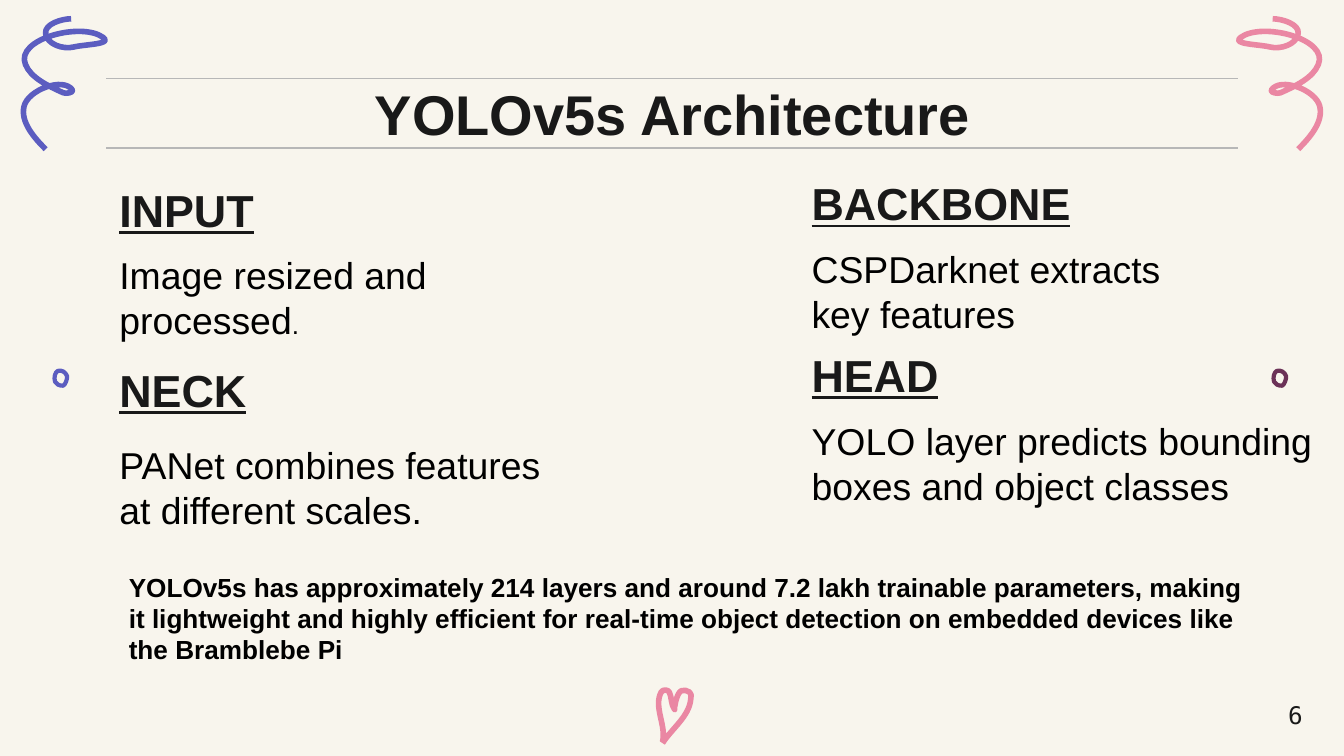
from lxml.etree import SubElement
from pptx import Presentation
from pptx.dml.color import RGBColor
from pptx.enum.shapes import MSO_CONNECTOR
from pptx.enum.text import MSO_ANCHOR, MSO_AUTO_SIZE, PP_ALIGN
from pptx.oxml.ns import qn
from pptx.util import Inches, Pt

THEME = {
    "paper": RGBColor.from_string("F8F5ED"),
    "ink": RGBColor.from_string("191919"),
    "black": RGBColor.from_string("000000"),
    "rule": RGBColor.from_string("B7B7B7"),
    "blue": RGBColor.from_string("5C5DC0"),
    "pink": RGBColor.from_string("EA87A3"),
    "plum": RGBColor.from_string("6C3258"),
    "font": "Arial",
    "number_font": "DejaVu Sans Mono",
    "title": 30, "heading": 24, "body": 20, "note": 14, "number": 13,
}

presentation = Presentation()
presentation.slide_width = Inches(10)
presentation.slide_height = presentation.slide_width * 9 // 16
slide = presentation.slides.add_slide(presentation.slide_layouts[6])
slide.background.fill.solid()
slide.background.fill.fore_color.rgb = THEME["paper"]

# The slide is a grid 1000 units wide; every length below counts these units.
UNIT = presentation.slide_width / 1000


def add_curve(points, color, weight):
    """Draw a start point followed by triples of cubic Bezier points."""
    builder = slide.shapes.build_freeform(*points[0], scale=UNIT)
    builder.add_line_segments(points[1:], close=False)
    shape = builder.convert_to_shape()
    shape.shadow.inherit = False
    shape.fill.background()
    shape.line.color.rgb = color
    shape.line.width = Pt(weight)
    segments = list(shape.element.iter(qn("a:lnTo")))
    outline = segments[0].getparent()
    for first in range(0, len(segments), 3):
        curve = SubElement(outline, qn("a:cubicBezTo"))
        for segment in segments[first:first + 3]:
            curve.append(segment[0])
            outline.remove(segment)


def add_text(text, box, size, color="black", bold=False, font="font", inset=10):
    """Add a wrapped text box with one paragraph and return its frame."""
    text_frame = slide.shapes.add_textbox(*(round(length * UNIT) for length in box)).text_frame
    text_frame.word_wrap = True
    text_frame.margin_left = text_frame.margin_right = round(10 * UNIT)
    text_frame.margin_top = text_frame.margin_bottom = round(inset * UNIT)
    text_frame.text = text
    run = text_frame.paragraphs[0].runs[0]
    run.font.name = THEME[font]
    run.font.size = Pt(THEME[size])
    run.font.bold = bold
    run.font.color.rgb = THEME[color]
    return text_frame


# Decorations
heart = [
    (493, 553), (500, 542), (513, 533), (514, 520), (515, 518), (514, 516), (513, 515),
    (511, 514), (509, 513), (507, 514), (505, 515), (504, 518), (503, 521),
    (502, 523), (502, 524), (502, 526), (502, 527), (502, 529), (502, 528),
    (499, 524), (500, 519), (498, 515), (497, 513), (493, 513), (492, 515),
    (486, 526), (496, 540), (493, 552),
]
ring = [
    (50, 280), (49, 277), (46, 275), (43, 276), (41, 277), (40, 281), (41, 284),
    (42, 286), (44, 287), (47, 287), (49, 286), (50, 282), (50, 280),
]
squiggle = [
    (53, 14), (46, 14), (33, 18), (34, 25), (35, 33), (47, 37), (55, 35),
    (63, 33), (84, 33), (77, 28), (61, 16), (11, 29), (19, 48),
    (23, 58), (36, 64), (47, 69), (49, 70), (55, 69), (54, 67),
    (47, 57), (21, 67), (18, 79), (15, 91), (26, 103), (34, 111),
]
add_curve(heart, THEME["pink"], 3)
add_curve(ring, THEME["blue"], 2.25)
add_curve([(x + 907, y) for x, y in ring], THEME["plum"], 2.25)
add_curve(squiggle, THEME["blue"], 3)
add_curve([(1000 - x, y) for x, y in squiggle], THEME["pink"], 3)

# Title between two rules
title = add_text("YOLOv5s Architecture", (79, 49, 843, 63), "title", "ink", bold=True)
title.paragraphs[0].alignment = PP_ALIGN.CENTER
for y in (58.5, 110):
    rule = slide.shapes.add_connector(
        MSO_CONNECTOR.STRAIGHT, *(round(length * UNIT) for length in (79, y, 921, y)))
    rule.line.color.rgb = THEME["rule"]
    rule.line.width = Pt(0.75)
    SubElement(rule.element.spPr, qn("a:effectLst"))

# Four parts of the network: heading, its top and height, body, its top and width
LEFT, RIGHT = 79, 594
parts = [
    (LEFT, "INPUT", 142, 44, "Image resized and processed", 178, 297),
    (RIGHT, "BACKBONE", 137, 44, "CSPDarknet extracts key features", 173, 297),
    (LEFT, "NECK", 276, 44, "PANet combines features at different scales.", 319, 355),
    (RIGHT, "HEAD", 246, 63, "YOLO layer predicts bounding boxes and object classes", 301, 417),
]
for left, name, name_top, name_height, body, body_top, body_width in parts:
    heading = add_text(name, (left, name_top, 297, name_height), "heading", "ink", bold=True)
    heading.vertical_anchor = MSO_ANCHOR.BOTTOM
    heading.paragraphs[0].runs[0].font.underline = True
    description = add_text(body, (left, body_top, body_width, 63), "body")
    if name == "INPUT":
        full_stop = description.paragraphs[0].add_run()
        full_stop.text = "."
        full_stop.font.name = THEME["font"]
        full_stop.font.size = Pt(THEME["note"])
        full_stop.font.color.rgb = THEME["black"]

# Page number and closing note
number = add_text("6", (919, 511, 60, 43), "number", "ink", font="number_font")
number.paragraphs[0].alignment = PP_ALIGN.RIGHT
note = add_text(
    "YOLOv5s has approximately 214 layers and around 7.2 lakh trainable parameters, making "
    "it lightweight and highly efficient for real-time object detection on embedded devices "
    "like the Bramblebe Pi",
    (86, 420, 855, 81), "note", bold=True, inset=5)
note.auto_size = MSO_AUTO_SIZE.SHAPE_TO_FIT_TEXT

presentation.save("out.pptx")
